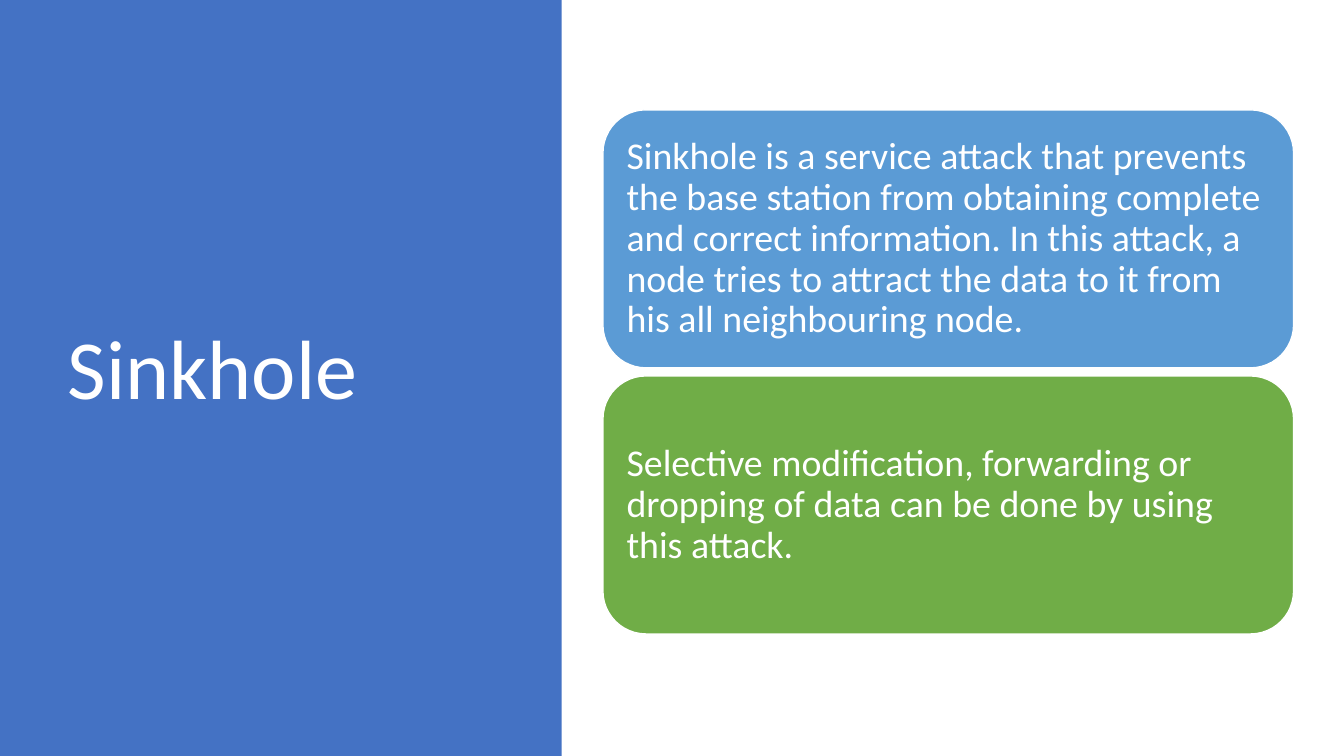
"""Build the Sinkhole attack slide."""
from pptx import Presentation
from pptx import util as u
from pptx.dml.color import RGBColor
from pptx.enum import shapes, text


def colour(hex_code):
    return RGBColor.from_string(hex_code)


class SlideBuilder:
    font = "Calibri"
    ink = "FFFFFF"

    def __init__(self, slide):
        self.slide = slide

    def style_text(self, frame, words, size):
        frame.text = words
        frame.word_wrap = True
        frame.auto_size = text.MSO_AUTO_SIZE.NONE
        frame.vertical_anchor = text.MSO_ANCHOR.MIDDLE
        paragraph = frame.paragraphs[0]
        paragraph.alignment = text.PP_ALIGN.LEFT
        paragraph.line_spacing = 0.9
        paragraph.font.name = self.font
        paragraph.font.size = u.Pt(size)
        paragraph.font.color.rgb = colour(self.ink)

    def block(self, preset, box, fill):
        block = self.slide.shapes.add_shape(preset, *map(u.Inches, box))
        block.shadow.inherit = False
        block.fill.solid()
        block.fill.fore_color.rgb = colour(fill)
        block.line.fill.background()
        return block

    def panel(self, box, fill):
        panel = self.block(shapes.MSO_SHAPE.RECTANGLE, box, fill)
        self.slide.shapes._spTree.insert(2, panel._element)

    def title(self, words, box, size):
        title = self.slide.shapes.title
        title.left, title.top, title.width, title.height = map(u.Inches, box)
        self.style_text(title.text_frame, words, size)

    def card(self, words, box, fill, size):
        card = self.block(shapes.MSO_SHAPE.ROUNDED_RECTANGLE, box, fill)
        card.line.color.rgb = colour(self.ink)
        card.line.width = u.Pt(1)
        frame = card.text_frame
        frame.margin_left = frame.margin_right = u.Inches(0.11)
        frame.margin_top = frame.margin_bottom = u.Inches(0.11)
        self.style_text(frame, words, size)


def main():
    deck = Presentation()
    deck.slide_width, deck.slide_height = u.Inches(13.33), u.Inches(7.5)
    builder = SlideBuilder(deck.slides.add_slide(deck.slide_layouts[5]))
    builder.panel((0, 0, 5.57, 7.5), "4472C4")
    builder.title("Sinkhole", (0.57, 0.68, 4.16, 6.02), 60)

    facts = [
        ("Sinkhole is a service attack that prevents the base station from "
         "obtaining complete and correct information. In this attack, a node "
         "tries to attract the data to it from his all neighbouring node.",
         "5B9BD5"),
        ("Selective modification, forwarding or dropping of data can be done "
         "by using this attack.", "70AD47"),
    ]
    card_height, gap = 2.56, 0.08
    for row, (words, fill) in enumerate(facts):
        top = 1.09 + row * (card_height + gap)
        builder.card(words, (5.98, top, 6.85, card_height), fill, 27)
    deck.save("out.pptx")


if __name__ == "__main__":
    main()
